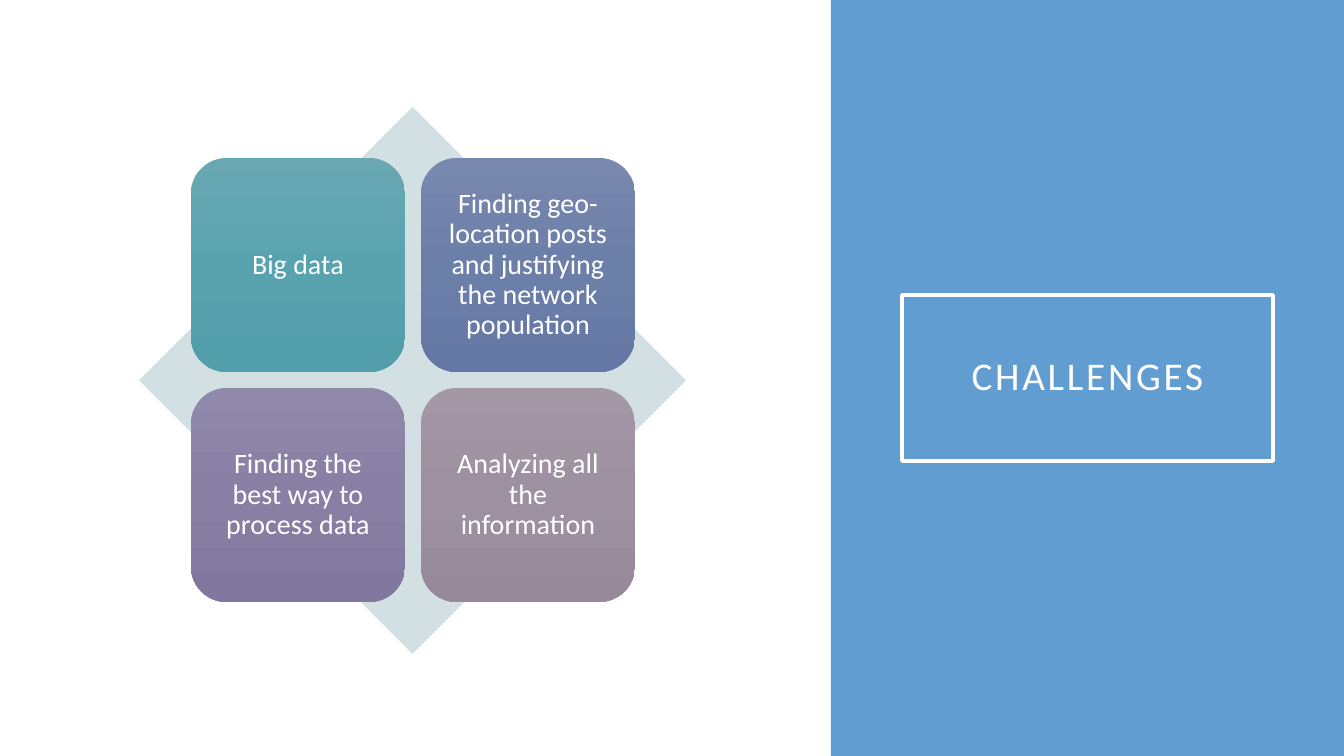
from copy import deepcopy

from pptx import Presentation
from pptx import util as u
from pptx.dml.color import RGBColor
from pptx.enum import shapes, text
from pptx.oxml.ns import qn

EMU_PER_PIXEL = 914400 / 100.8
WHITE = "FFFFFF"
SHAPE = shapes.MSO_SHAPE


def px(pixels):
    """Turn pixels into EMU."""
    return u.Emu(round(pixels * EMU_PER_PIXEL))


def color(value):
    """Turn a hex string into a colour."""
    return RGBColor.from_string(value)


class Canvas:
    """Holds the text style and the current slide."""

    font = "Calibri"
    text_color = WHITE
    line_spacing = 0.9

    def __init__(self, slide):
        """Start drawing on a slide."""
        self.slide = slide

    def shape(self, kind, left, top, width, height, fill=None):
        """Add a preset shape without outline or shadow."""
        shape = self.slide.shapes.add_shape(
            kind, px(left), px(top), px(width), px(height))
        shape.shadow.inherit = False
        shape.line.fill.background()
        if fill:
            shape.fill.solid()
            shape.fill.fore_color.rgb = color(fill)
        else:
            shape.fill.background()
        return shape

    def outline(self, shape, line_color, points):
        """Give a shape a solid outline."""
        shape.line.color.rgb = color(line_color)
        shape.line.width = u.Pt(points)

    def gradient(self, shape, colors):
        """Fill a shape with evenly spaced colours from top to bottom."""
        shape.fill.gradient()
        shape.fill.gradient_angle = 270
        stop_list = shape._element.spPr.find(".//" + qn("a:gsLst"))
        while len(stop_list) < len(colors):
            stop_list.insert(1, deepcopy(stop_list[0]))
        for index, stop in enumerate(shape.fill.gradient_stops):
            stop.position = index / (len(colors) - 1)
            stop.color.rgb = color(colors[index])

    def label(self, shape, words, size, inset, spacing=0):
        """Centre text in a shape; letter spacing is in points."""
        frame = shape.text_frame
        frame.text = words
        frame.word_wrap = True
        frame.vertical_anchor = text.MSO_ANCHOR.MIDDLE
        frame.margin_left = frame.margin_right = px(inset)
        frame.margin_top = frame.margin_bottom = px(inset)
        paragraph = frame.paragraphs[0]
        paragraph.alignment = text.PP_ALIGN.CENTER
        paragraph.line_spacing = self.line_spacing
        run = paragraph.runs[0]
        run.font.name = self.font
        run.font.size = u.Pt(size)
        run.font.color.rgb = color(self.text_color)
        if spacing:
            run._r.get_or_add_rPr().set("spc", str(spacing * 100))


CHALLENGES = [
    ("Big data", ("69A8B3", "59A3AF", "529EAB")),
    ("Finding geo-location posts and justifying the network population",
     ("7988AE", "6C7FA9", "6578A5")),
    ("Finding the best way to process data", ("9189AA", "887FA4", "82789F")),
    ("Analyzing all the information", ("A498A7", "9D90A0", "97899A")),
]
GRID_LEFT, GRID_TOP = 191, 158
TILE, GAP, COLUMNS = 214, 16, 2

presentation = Presentation()
presentation.slide_width, presentation.slide_height = px(1344), px(756)
canvas = Canvas(presentation.slides.add_slide(presentation.slide_layouts[6]))

canvas.shape(SHAPE.RECTANGLE, 831, 0, 513, 756, "629DD1")
title = canvas.shape(SHAPE.RECTANGLE, 902, 295, 371, 166)
canvas.outline(title, WHITE, 2.5)
canvas.label(title, "CHALLENGES", size=28, inset=20, spacing=2)

canvas.shape(SHAPE.DIAMOND, 139, 107, 547, 547, "D2E0E3")
for index, (words, colors) in enumerate(CHALLENGES):
    row, column = divmod(index, COLUMNS)
    tile = canvas.shape(SHAPE.ROUNDED_RECTANGLE,
                        GRID_LEFT + column * (TILE + GAP),
                        GRID_TOP + row * (TILE + GAP), TILE, TILE)
    canvas.gradient(tile, colors)
    canvas.label(tile, words, size=20, inset=8)

presentation.save("out.pptx")
